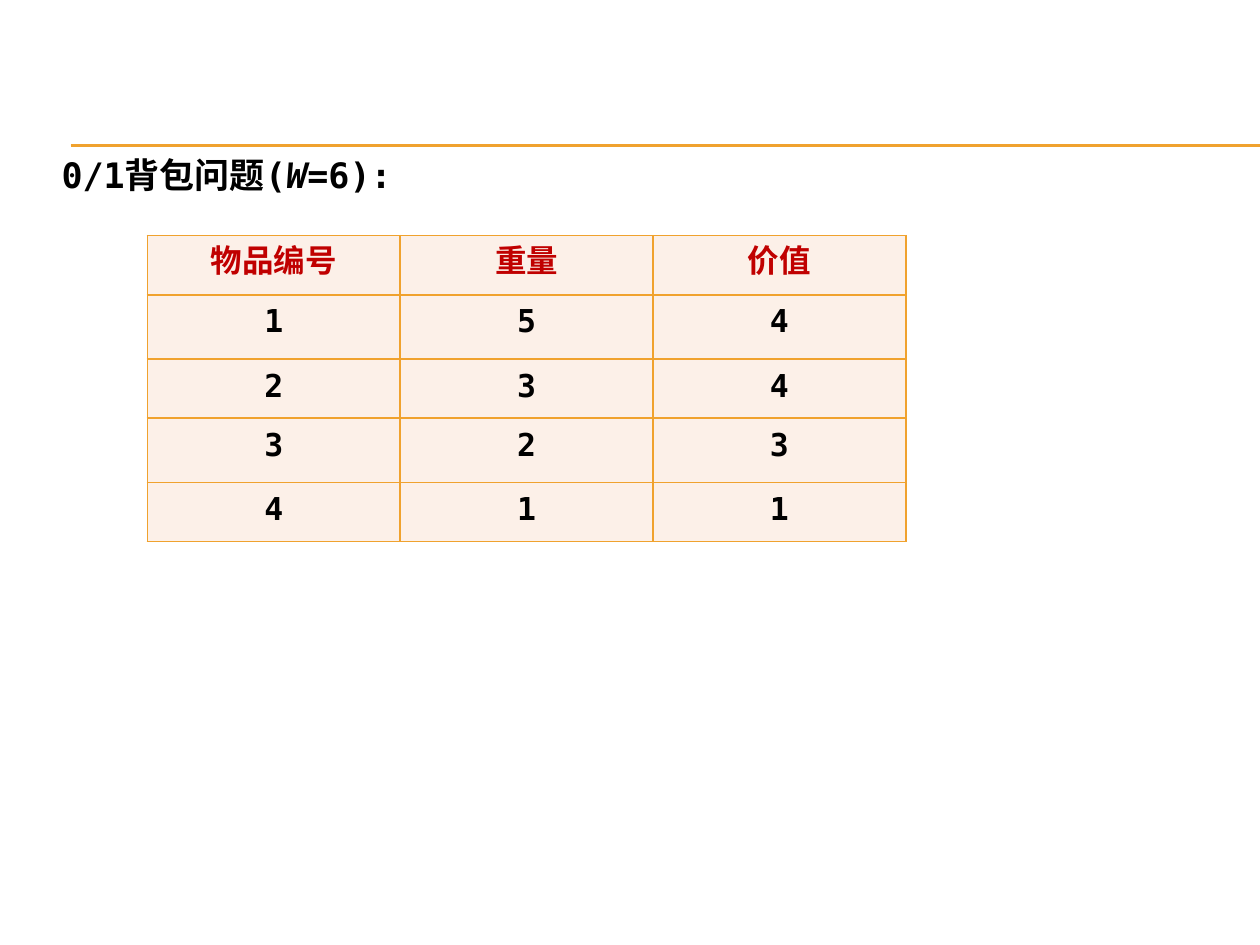
from dataclasses import dataclass

from lxml import etree
from pptx import Presentation
from pptx import util as u
from pptx.dml.color import RGBColor
from pptx.enum import shapes, text
from pptx.oxml import ns


@dataclass(frozen=True)
class Theme:
    """Colours, font and sizes of the slide."""
    font: str = "DejaVu Sans Mono"
    accent: str = "F0A22E"
    cell: str = "FCF0E8"
    header: str = "C00000"
    ink: str = "000000"
    heading_size: int = 20
    table_size: int = 18
    table_leading: int = 26
    rule_width: float = 0.75
    border_width: float = 1


THEME = Theme()
ITEMS = [
    ("物品编号", "重量", "价值"),
    ("1", "5", "4"),
    ("2", "3", "4"),
    ("3", "2", "3"),
    ("4", "1", "1"),
]


def add_run(paragraph, words, size, color, italic=False):
    """Add one bold run in the theme font."""
    run = paragraph.add_run()
    run.text = words
    run.font.name = THEME.font
    run.font.size = u.Pt(size)
    run.font.bold = True
    run.font.italic = italic
    run.font.color.rgb = RGBColor.from_string(color)


def add_rule(slide, top):
    """Draw a horizontal rule that runs to the right edge."""
    rule = slide.shapes.add_connector(
        shapes.MSO_CONNECTOR.STRAIGHT,
        u.Inches(0.56), u.Inches(top), u.Inches(10), u.Inches(top))
    rule.line.color.rgb = RGBColor.from_string(THEME.accent)
    rule.line.width = u.Pt(THEME.rule_width)
    etree.SubElement(rule._element.spPr, ns.qn("a:effectLst"))


def add_heading(slide):
    """Add the heading, with the variable in italics."""
    box = slide.shapes.add_textbox(
        u.Inches(0.39), u.Inches(1.17), u.Inches(3.83), u.Inches(0.44))
    frame = box.text_frame
    frame.word_wrap = True
    frame.auto_size = text.MSO_AUTO_SIZE.SHAPE_TO_FIT_TEXT
    paragraph = frame.paragraphs[0]
    for words, italic in (("0/1背包问题(".replace("(", "("), False),
                          ("W", True), ("=6):", False)):
        add_run(paragraph, words, THEME.heading_size, THEME.ink, italic)


def set_borders(cell):
    """Put an accent border on all four sides of a cell."""
    properties = cell._tc.get_or_add_tcPr()
    for index, side in enumerate(("lnL", "lnR", "lnT", "lnB")):
        line = etree.Element(ns.qn(f"a:{side}"), w=str(u.Pt(THEME.border_width)))
        fill = etree.SubElement(line, ns.qn("a:solidFill"))
        etree.SubElement(fill, ns.qn("a:srgbClr"), val=THEME.accent)
        properties.insert(index, line)


def fill_cell(cell, words, color):
    """Write and format one centred table cell."""
    cell.margin_left = cell.margin_right = u.Inches(0.1)
    cell.margin_top = cell.margin_bottom = 0
    cell.fill.solid()
    cell.fill.fore_color.rgb = RGBColor.from_string(THEME.cell)
    set_borders(cell)
    paragraph = cell.text_frame.paragraphs[0]
    paragraph.alignment = text.PP_ALIGN.CENTER
    paragraph.line_spacing = u.Pt(THEME.table_leading)
    add_run(paragraph, words, THEME.table_size, color)


def add_item_table(slide):
    """Add the table of item weights and values."""
    table = slide.shapes.add_table(
        len(ITEMS), len(ITEMS[0]),
        u.Inches(1.17), u.Inches(1.87), u.Inches(6.02), u.Inches(2.42)).table
    table.first_row = table.horz_banding = False
    for row_index, values in enumerate(ITEMS):
        table.rows[row_index].height = u.Inches(0.51 if row_index % 2 else 0.47)
        color = THEME.ink if row_index else THEME.header
        for column_index, words in enumerate(values):
            fill_cell(table.cell(row_index, column_index), words, color)


def main():
    """Build and save the slide."""
    presentation = Presentation()
    presentation.slide_width = u.Inches(10)
    presentation.slide_height = u.Inches(7.5)
    slide = presentation.slides.add_slide(presentation.slide_layouts[6])
    for top in (1.15, 1.16):
        add_rule(slide, top)
    add_item_table(slide)
    add_heading(slide)
    presentation.save("out.pptx")


main()
